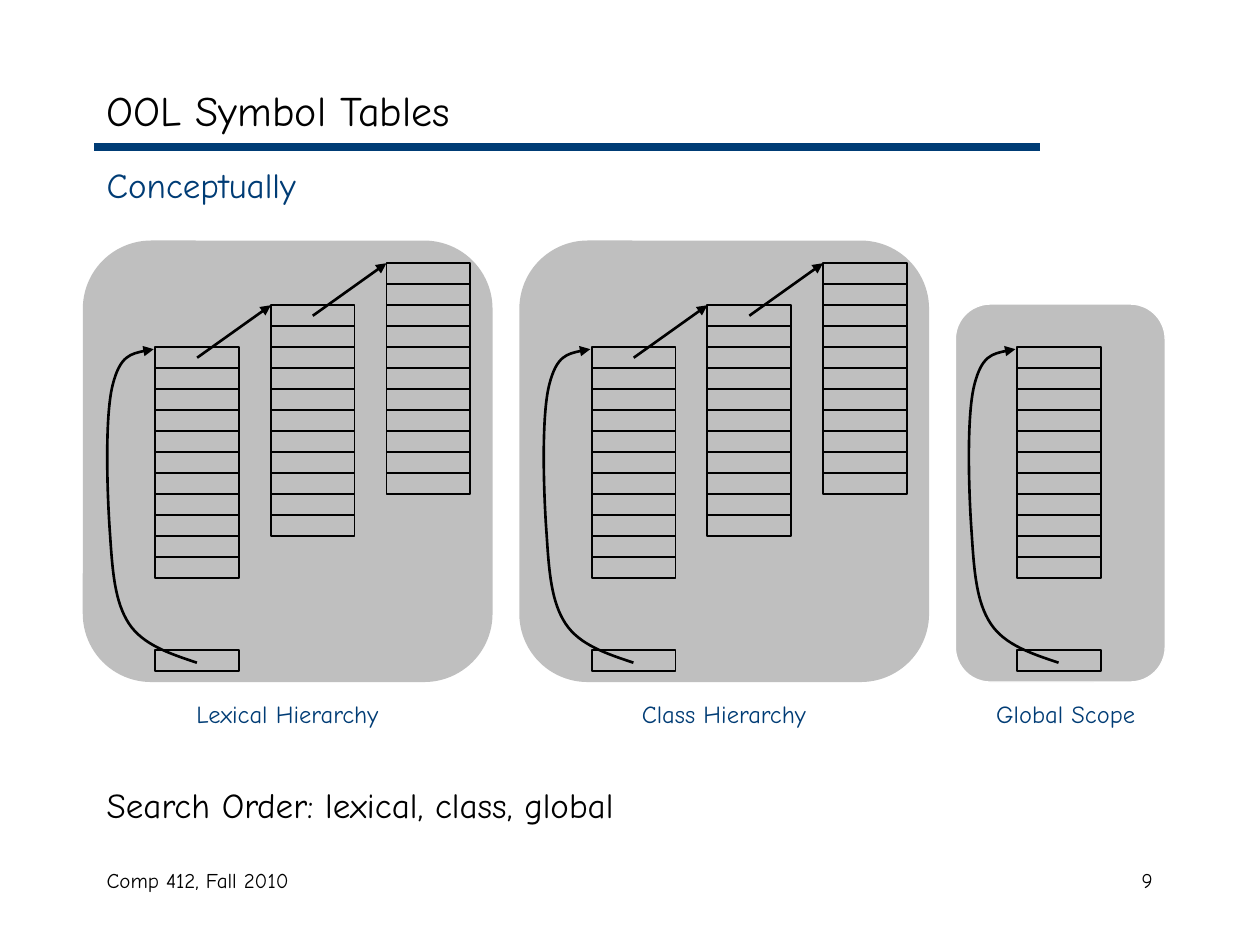
from lxml import etree
from pptx import Presentation
from pptx.dml.color import RGBColor
from pptx.enum.shapes import MSO_CONNECTOR, MSO_SHAPE
from pptx.enum.text import MSO_ANCHOR, PP_ALIGN
from pptx.oxml.ns import qn
from pptx.util import Cm, Pt

RECT, ROUND = MSO_SHAPE.RECTANGLE, MSO_SHAPE.ROUNDED_RECTANGLE
STRAIGHT = MSO_CONNECTOR.STRAIGHT
LEFT, CENTER, RIGHT = PP_ALIGN.LEFT, PP_ALIGN.CENTER, PP_ALIGN.RIGHT
TOP, MIDDLE = MSO_ANCHOR.TOP, MSO_ANCHOR.MIDDLE

FONT = "Comic Neue"
BLACK, NAVY, GREY, WHITE = "000000", "003C75", "BFBFBF", "FFFFFF"

# Symbol table geometry, in cm
ROWS = 11
CELL_W, CELL_H = 1.69, 2.54 / 6
TABLE_TOP, SLOT_TOP = 7.0, 13.11
STEP_X, STEP_Y = 2.33, 2 * CELL_H
# Start point and four Bezier segments, relative to the first table's corner
CURVE = [(0.84, 6.36),
         (0.3, 6.18), (-0.25, 6), (-0.53, 5.57),
         (-0.81, 5.14), (-0.86, 4.56), (-0.91, 3.77),
         (-0.97, 2.96), (-1.02, 1.41), (-0.86, 0.77),
         (-0.71, 0.16), (-0.36, 0.09), (-0.03, 0.04)]

# Label, number of tables, first table x, panel box, panel outline, label x and width
SCOPES = [
    ("Lexical Hierarchy", 2 + 1, 3.13, (1.67, 4.85, 8.26, 8.9), None, 1.77, 8.05),
    ("Class Hierarchy", 2 + 1, 11.93, (10.47, 4.85, 8.26, 8.9), None, 10.57, 8.05),
    ("Global Scope", 1, 20.5, (19.26, 6.13, 4.23, 7.62), WHITE, 19.26, 4.45),
]


def color(value):
    return RGBColor.from_string(value)


class SlideBuilder:
    def __init__(self, slide):
        self.slide = slide
        self.shapes = slide.shapes

    def start_group(self):
        self.shapes = self.slide.shapes.add_group_shape().shapes

    def end_group(self):
        self.shapes = self.slide.shapes

    def text(self, text, x, y, w, h, size, fill=BLACK, align=LEFT, anchor=TOP):
        sp = self.shapes.add_textbox(Cm(x), Cm(y), Cm(w), Cm(h))
        tf = sp.text_frame
        tf.word_wrap = True
        tf.vertical_anchor = anchor
        tf.text = text
        p = tf.paragraphs[0]
        p.alignment = align
        r = p.runs[0]
        r.font.name, r.font.size = FONT, Pt(size)
        r.font.color.rgb = color(fill)

    def box(self, kind, x, y, w, h, fill=None, line=None, weight=1):
        sp = self.shapes.add_shape(kind, Cm(x), Cm(y), Cm(w), Cm(h))
        sp.shadow.inherit = False
        if fill:
            sp.fill.solid()
            sp.fill.fore_color.rgb = color(fill)
        else:
            sp.fill.background()
        if line:
            self.stroke(sp, line, weight)
        else:
            sp.line.fill.background()

    def stroke(self, sp, line, weight, arrow=False):
        sp.line.color.rgb = color(line)
        sp.line.width = Pt(weight)
        if arrow:
            ln = sp.line._get_or_add_ln()
            etree.SubElement(ln, qn("a:tailEnd"), type="triangle")

    def line(self, x1, y1, x2, y2, fill=BLACK, weight=1.5, arrow=False):
        sp = self.shapes.add_connector(STRAIGHT, Cm(x1), Cm(y1), Cm(x2), Cm(y2))
        self.stroke(sp, fill, weight, arrow)
        etree.SubElement(sp._element.spPr, qn("a:effectLst"))

    def curve(self, points):
        pts = [(Cm(x), Cm(y)) for x, y in points]
        fb = self.shapes.build_freeform(*pts[0])
        fb.add_line_segments(pts[1:], close=False)
        sp = fb.convert_to_shape()
        sp.shadow.inherit = False
        sp.fill.background()
        self.stroke(sp, BLACK, 1.5, arrow=True)
        # Turn each three line segments into one Bezier segment
        segments = list(sp._element.iter(qn("a:lnTo")))
        for i in range(0, len(segments), 3):
            bezier = etree.Element(qn("a:cubicBezTo"))
            segments[i].addprevious(bezier)
            for seg in segments[i:i + 3]:
                bezier.append(seg[0])
                seg.getparent().remove(seg)

    def cell(self, x, y):
        self.box(RECT, x, y, CELL_W, CELL_H, line=BLACK)

    def scope(self, label, count, x, panel, outline, label_x, label_w):
        self.start_group()
        self.box(ROUND, *panel, fill=GREY, line=outline, weight=0.75)
        corners = [(x + i * STEP_X, TABLE_TOP - i * STEP_Y) for i in range(count)]
        for left, top in corners:
            for row in range(ROWS):
                self.cell(left, top + row * CELL_H)
        self.cell(x, SLOT_TOP)
        # Each table points to the one that encloses it
        for (left, top), parent in zip(corners, corners[1:]):
            self.line(left + CELL_W / 2, top + CELL_H / 2, *parent, arrow=True)
        self.curve([(x + dx, TABLE_TOP + dy) for dx, dy in CURVE])
        self.text(label, label_x, 13.97, label_w, 0.86, 14, NAVY, CENTER)
        self.end_group()


def main():
    prs = Presentation()
    prs.slide_width, prs.slide_height = Cm(25.4), Cm(19.05)
    s = SlideBuilder(prs.slides.add_slide(prs.slide_layouts[6]))

    # Heading
    s.line(1.9, 2.97, 20.96, 2.97, NAVY, 4.5)
    s.text("OOL Symbol Tables", 1.9, 1.48, 21.59, 1.48, 24, anchor=MIDDLE)
    s.text("Conceptually", 1.9, 3.18, 21.8, 2.12, 20, NAVY)

    # Footer
    s.text("Comp 412, Fall 2010", 1.9, 17.36, 8.05, 1.27, 12)
    s.text("9", 18.2, 17.36, 5.29, 1.27, 12, align=RIGHT)

    # Scope panels
    for scope in SCOPES:
        s.scope(*scope)

    # Conclusion
    s.text("Search Order: lexical, class, global", 1.9, 15.67, 21.8, 1.48, 20)

    prs.save("out.pptx")


if __name__ == "__main__":
    main()
